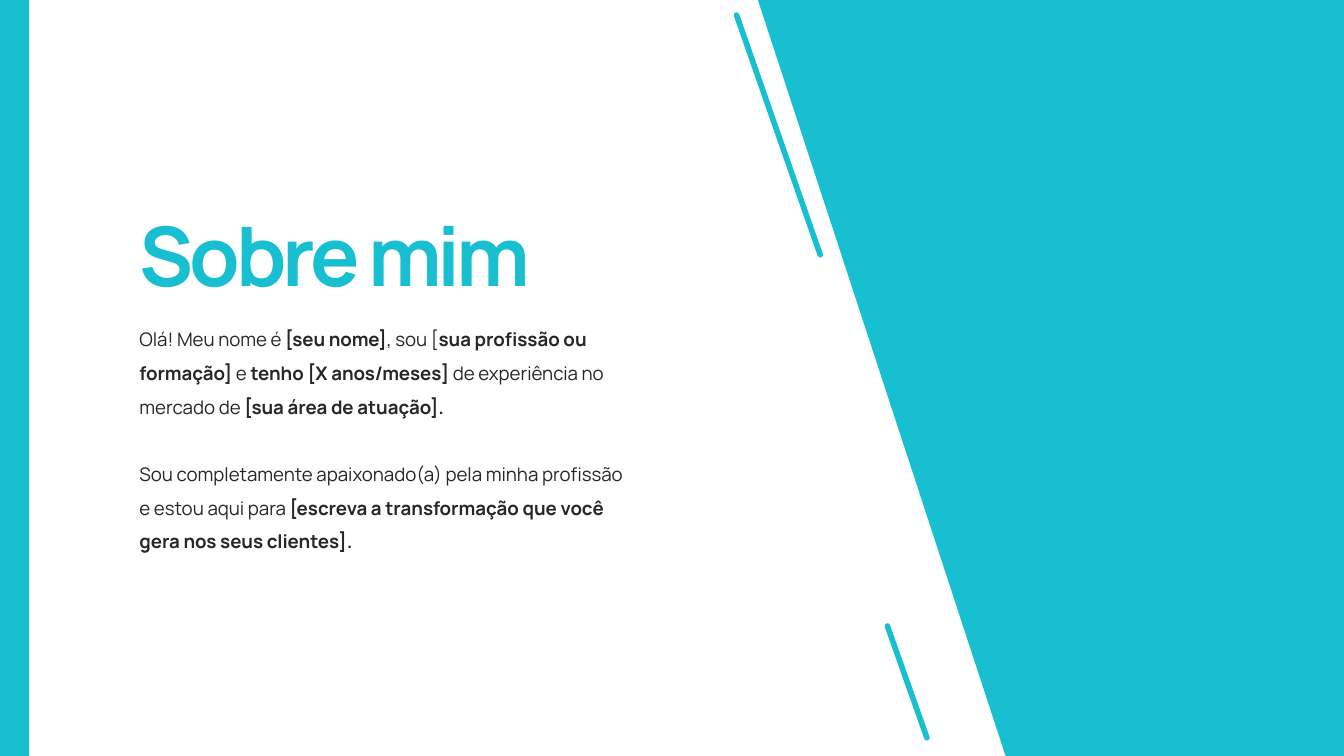
from dataclasses import dataclass

from lxml.etree import SubElement
from pptx import Presentation
from pptx.dml.color import RGBColor as RGB
from pptx.enum.shapes import MSO_CONNECTOR as Conn, MSO_SHAPE as Shape
from pptx.oxml.ns import qn
from pptx.util import Pt


@dataclass(frozen=True)
class Theme:
    font: str = "Manrope"
    accent: RGB = RGB(0x18, 0xBF, 0xD1)
    ink: RGB = RGB(0x26, 0x26, 0x26)
    title: int = 44
    body: int = 10
    stroke: int = 3


T = Theme()
W, H = 720, 405

BIO = [
    [("Olá! Meu nome é ", False), ("[seu nome]", True), (", sou [", False),
     ("sua profissão ou formação]", True), (" e ", False),
     ("tenho [X anos/meses] ", True),
     ("de experiência no mercado de ", False),
     ("[sua área de atuação].", True)],
    [("Sou completamente apaixonado(a) pela minha profissão e estou aqui para ", False),
     ("[escreva a transformação que você gera nos seus clientes].", True)],
]


def paint(sp):
    sp.shadow.inherit = False
    sp.fill.solid()
    sp.fill.fore_color.rgb = T.accent
    sp.line.fill.background()


def add_bar(s, x, y, w, h):
    paint(s.shapes.add_shape(Shape.RECTANGLE, Pt(x), Pt(y), Pt(w), Pt(h)))


def add_panel(s, points):
    pts = [(Pt(x), Pt(y)) for x, y in points]
    fb = s.shapes.build_freeform(*pts[0], scale=1.0)
    fb.add_line_segments(pts[1:], close=True)
    paint(fb.convert_to_shape())


def add_stroke(s, x1, y1, x2, y2):
    c = s.shapes.add_connector(Conn.STRAIGHT, Pt(x1), Pt(y1), Pt(x2), Pt(y2))
    c.line.color.rgb = T.accent
    c.line.width = Pt(T.stroke)
    c.line._get_or_add_ln().set("cap", "rnd")
    SubElement(c._element.spPr, qn("a:effectLst"))


def add_text(s, x, y, w, h, paragraphs, *, size, color,
             spacing=None, gap=0, tracking=None):
    tf = s.shapes.add_textbox(Pt(x), Pt(y), Pt(w), Pt(h)).text_frame
    tf.word_wrap = True
    for i, runs in enumerate(paragraphs):
        p = tf.add_paragraph() if i else tf.paragraphs[0]
        p.line_spacing = spacing
        if i:
            p.space_before = Pt(gap)
        for text, bold in runs:
            r = p.add_run()
            r.text = text
            r.font.name = T.font
            r.font.size = Pt(size)
            r.font.bold = bold
            r.font.color.rgb = color
            if tracking is not None:
                r._r.get_or_add_rPr().set("spc", str(round(tracking * 100)))


def main():
    prs = Presentation()
    prs.slide_width, prs.slide_height = Pt(W), Pt(H)
    s = prs.slides.add_slide(prs.slide_layouts[6])

    add_panel(s, [(406, 0), (W, 0), (W, H), (538.7, H)])
    add_text(s, 67.6, 106, 281.5, 60.5, [[("Sobre mim", True)]],
             size=T.title, color=T.accent, tracking=-2.2)
    add_text(s, 67.6, 166.3, 276, 132.5, BIO,
             size=T.body, color=T.ink, spacing=1.5, gap=18)
    add_bar(s, 0, 0, 15.6, H)
    add_stroke(s, 496.6, 395.3, 475.4, 335.4)
    add_stroke(s, 439.4, 136.5, 394.6, 8.1)

    prs.save("out.pptx")


if __name__ == "__main__":
    main()
